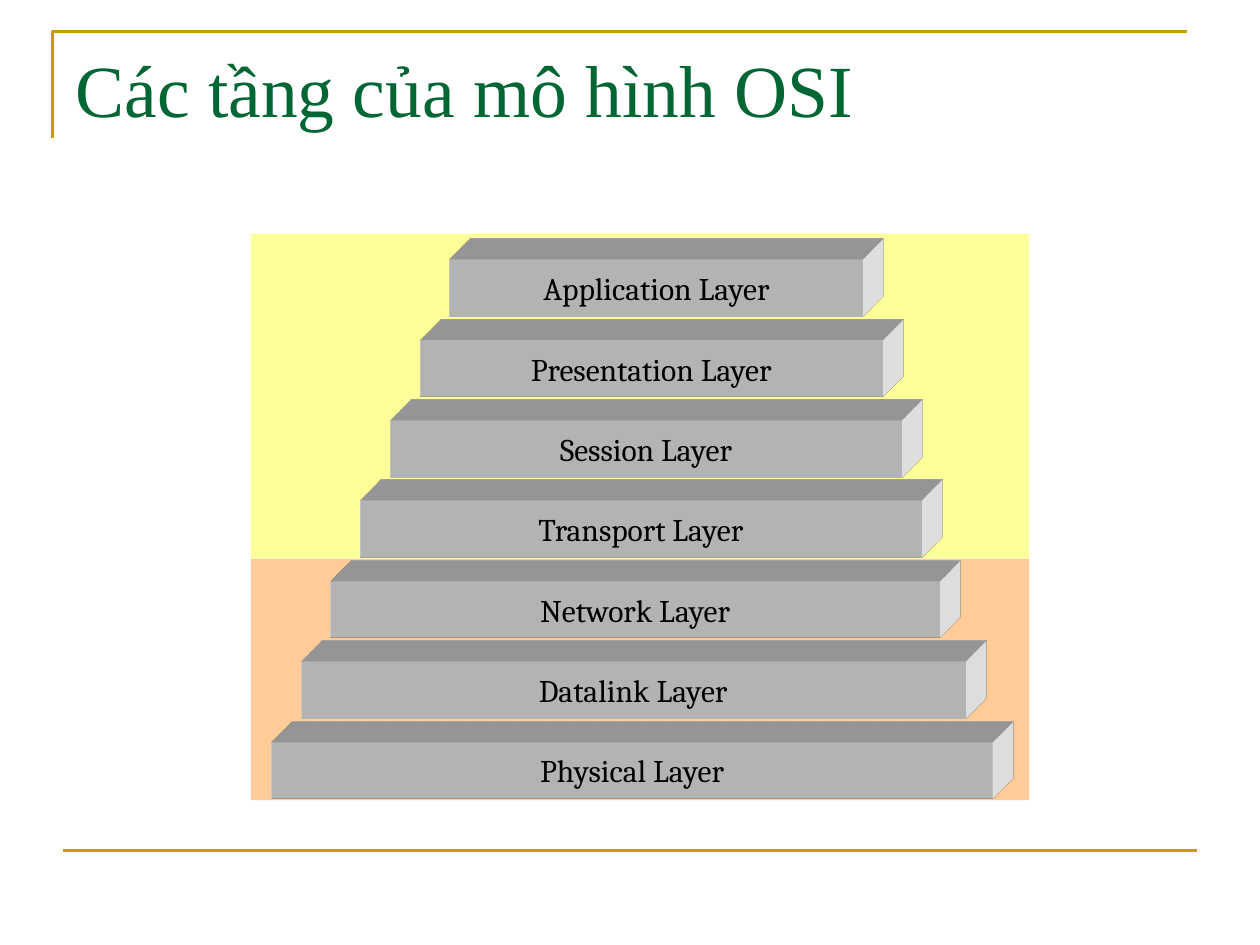
from lxml.etree import SubElement
from pptx import Presentation
from pptx.dml.color import RGBColor
from pptx.enum.shapes import MSO_CONNECTOR, MSO_SHAPE
from pptx.enum.text import MSO_ANCHOR, PP_ALIGN
from pptx.oxml.ns import qn
from pptx.util import Cm, Pt

COLORS = {
    "rule": "CC9900",
    "title": "006633",
    "upper": "FFFF99",
    "lower": "FFCC99",
    "layer": "FFFFFF",
    "text": "000000",
}

LAYER_WIDTHS = {
    "Application Layer": 8.33,
    "Presentation Layer": 9.32,
    "Session Layer": 10.31,
    "Transport Layer": 11.3,
    "Network Layer": 12.27,
    "Datalink Layer": 13.39,
    "Physical Layer": 14.55,
}


def color(name):
    return RGBColor.from_string(COLORS[name])


def add_text(frame, text, font_name, size, color_name, align):
    paragraph = frame.paragraphs[0]
    paragraph.alignment = align
    run = paragraph.add_run()
    run.text = text
    run.font.name = font_name
    run.font.size = Pt(size)
    run.font.color.rgb = color(color_name)


def add_block(slide, left, top, width, height, fill):
    block = slide.shapes.add_shape(
        MSO_SHAPE.RECTANGLE, Cm(left), Cm(top), Cm(width), Cm(height))
    block.fill.solid()
    block.fill.fore_color.rgb = color(fill)
    block.line.fill.background()
    block.shadow.inherit = False
    return block


def extrude(block):
    properties = block.element.spPr
    scene = SubElement(properties, qn("a:scene3d"))
    SubElement(scene, qn("a:camera"), prst="legacyObliqueTopRight")
    SubElement(scene, qn("a:lightRig"), rig="legacyFlat3", dir="b")
    solid = SubElement(properties, qn("a:sp3d"),
                       extrusionH="430200", prstMaterial="legacyMatte")
    for bevel in ("a:bevelT", "a:bevelB"):
        SubElement(solid, qn(bevel), w="13500", h="13500", prst="angle")
    depth_color = SubElement(solid, qn("a:extrusionClr"))
    SubElement(depth_color, qn("a:srgbClr"), val=COLORS["layer"])


def add_frame(slide, left, top, width, height):
    builder = slide.shapes.build_freeform(Cm(left), Cm(top + 2.15))
    builder.add_line_segments(
        [(Cm(left), Cm(top)), (Cm(left + width), Cm(top))], close=False)
    corner = builder.convert_to_shape()
    corner.fill.background()
    corner.shadow.inherit = False

    bottom = Cm(top + height)
    base_rule = slide.shapes.add_connector(
        MSO_CONNECTOR.STRAIGHT,
        Cm(left + 0.2), bottom, Cm(left + 0.2 + width), bottom)
    SubElement(base_rule._element.spPr, qn("a:effectLst"))

    for rule in (corner, base_rule):
        rule.line.color.rgb = color("rule")
        rule.line.width = Pt(1.5)


def add_title(slide, left, top, width, height):
    title = slide.shapes.title
    title.left, title.top = Cm(left), Cm(top)
    title.width, title.height = Cm(width), Cm(height)
    title.text_frame.vertical_anchor = MSO_ANCHOR.TOP
    add_text(title.text_frame, "Các tầng của mô hình OSI",
             "Times New Roman", 42, "title", PP_ALIGN.LEFT)


def add_layer_stack(slide, left, top, width, height):
    upper_height = 6.55
    add_block(slide, left, top + upper_height, width,
              height - upper_height, "lower")
    add_block(slide, left, top, width, upper_height, "upper")

    for level, (name, layer_width) in enumerate(LAYER_WIDTHS.items()):
        layer = add_block(slide, left + 4.01 - 0.6 * level,
                          top + 0.53 + 1.62 * level,
                          layer_width, 1.14, "layer")
        extrude(layer)
        layer.text_frame.vertical_anchor = MSO_ANCHOR.MIDDLE
        add_text(layer.text_frame, name, "Cambria", 18, "text",
                 PP_ALIGN.CENTER)


def main():
    presentation = Presentation()
    presentation.slide_width, presentation.slide_height = Cm(25.4), Cm(19.05)
    slide = presentation.slides.add_slide(presentation.slide_layouts[5])
    add_frame(slide, 1.06, 0.64, 22.86, 16.51)
    add_title(slide, 1.27, 0.76, 22.86, 3.18)
    add_layer_stack(slide, 5.06, 4.71, 15.69, 11.42)
    presentation.save("out.pptx")


if __name__ == "__main__":
    main()
